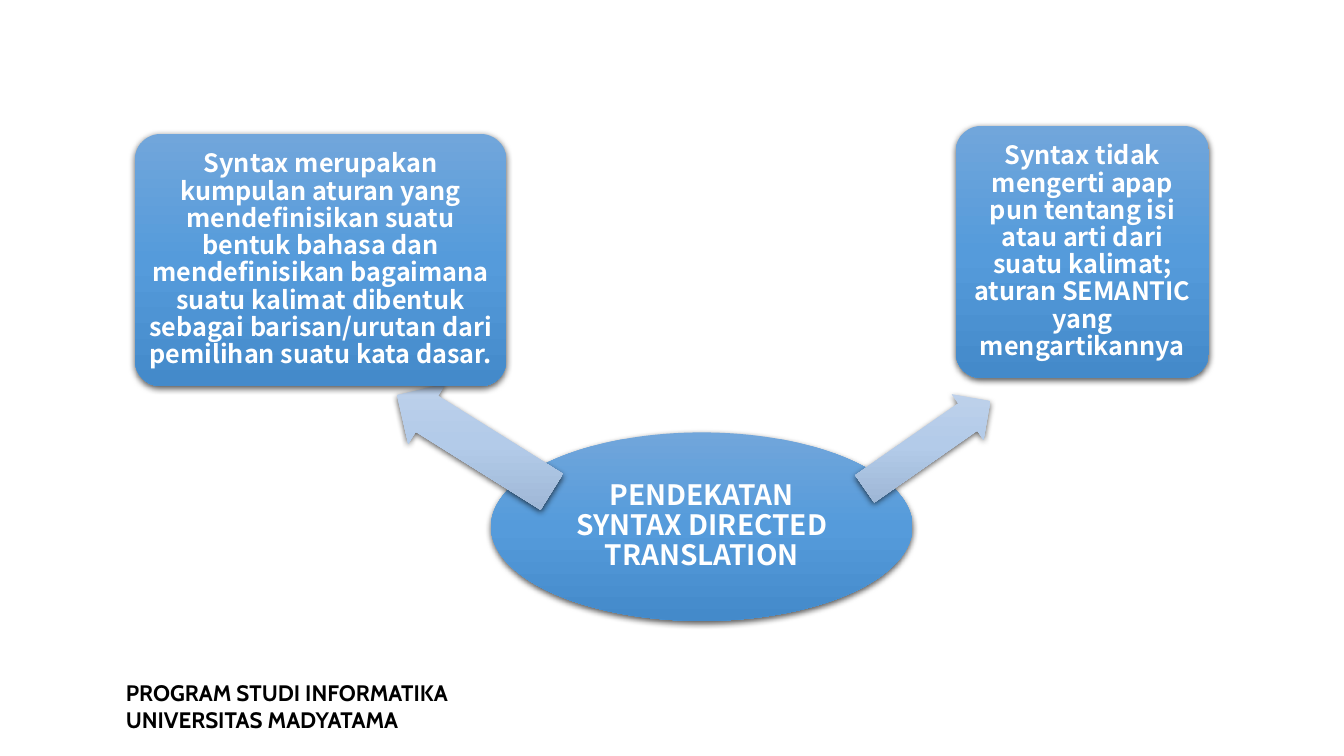
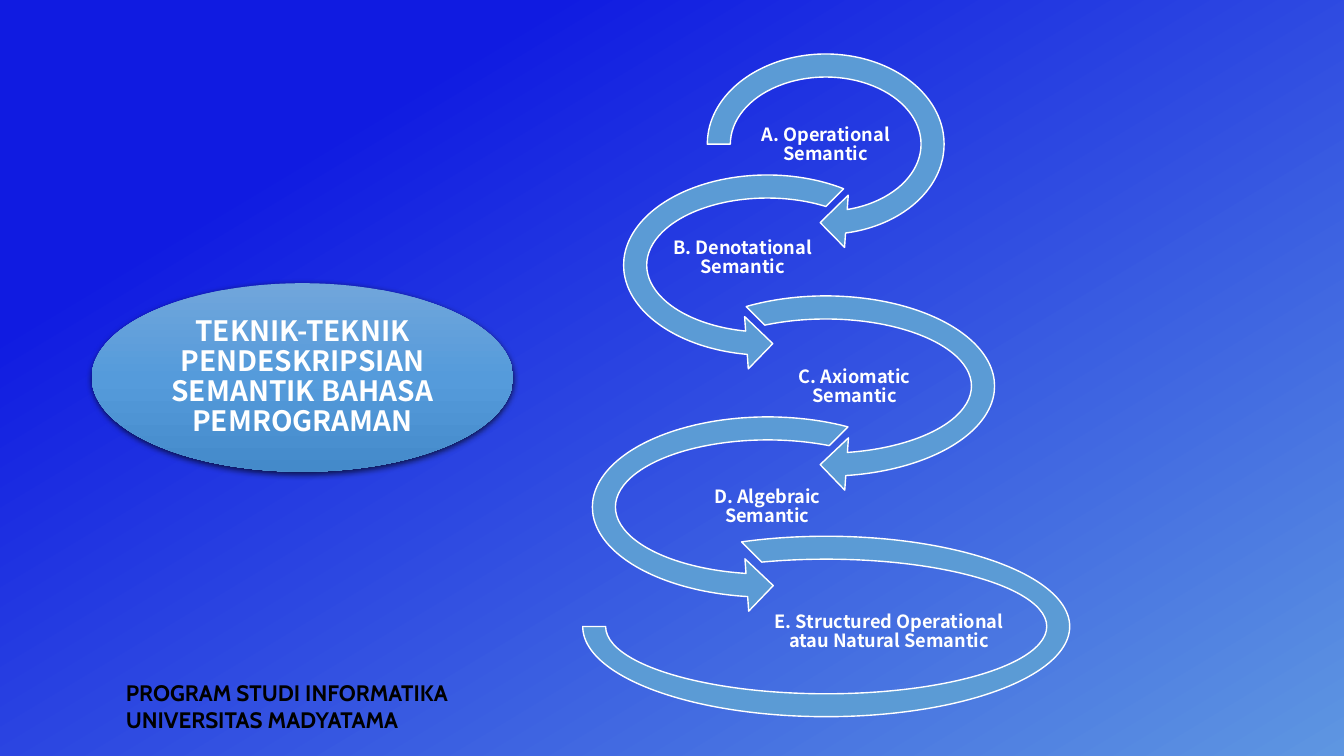
from dataclasses import dataclass

from lxml.etree import SubElement
from pptx import Presentation
from pptx.dml.color import RGBColor
from pptx.enum.shapes import MSO_SHAPE
from pptx.enum.text import MSO_ANCHOR, MSO_AUTO_SIZE, PP_ALIGN
from pptx.oxml.ns import qn
from pptx.util import Inches, Pt


@dataclass(frozen=True)
class Theme:
    body_font: str = "Noto Sans CJK SC"
    footer_font: str = "Cabin"
    white: str = "FFFFFF"
    black: str = "000000"
    spiral: str = "5B9BD5"
    node: tuple = ((0, "71A6DB"), (50, "559BDB"), (100, "448ACA"))
    arrow: tuple = ((0, "C0D2EB"), (50, "B3CBE9"), (100, "9BB4D3"))
    backdrop: tuple = ((0, "5E96E1"), (79, "101BE1"))
    topic_size: int = 20
    note_size: int = 18
    footer_size: int = 16
    label_size: int = 13


THEME = Theme()
FOOTER_LINES = ("PROGRAM STUDI INFORMATIKA", "UNIVERSITAS MADYATAMA")
FOOTER_BOX = (1.15, 6.69, 6.56, 0.64)
TOPIC_SIZE = (4.18, 1.87)


def inches(box):
    return [Inches(length) for length in box]


def paint_gradient(fill, element, stops, angle):
    """Fill with stops of (percent, colour) along a clockwise angle in degrees."""
    fill.gradient()
    fill.gradient_angle = 360 - angle
    gradient = next(element.iter(qn("a:gradFill")))
    gradient.set("rotWithShape", "0")
    stop_list = gradient.find(qn("a:gsLst"))
    for old_stop in list(stop_list):
        stop_list.remove(old_stop)
    for percent, colour in stops:
        stop = SubElement(stop_list, qn("a:gs"), pos=str(percent * 1000))
        SubElement(stop, qn("a:srgbClr"), val=colour)


def add_soft_shadow(shape):
    shape.shadow.inherit = False
    effects = shape.element.spPr.find(qn("a:effectLst"))
    shadow = SubElement(effects, qn("a:outerShdw"), blurRad=str(Pt(4.5)),
                        dist=str(Pt(1.5)), dir="5400000", algn="ctr", rotWithShape="0")
    colour = SubElement(shadow, qn("a:srgbClr"), val=THEME.black)
    SubElement(colour, qn("a:alpha"), val="63000")


def add_raised_shape(page, kind, box, stops, adjustments=(), rotation=0):
    shape = page.shapes.add_shape(kind, *inches(box))
    for index, value in enumerate(adjustments):
        shape.adjustments[index] = value
    shape.rotation = rotation
    paint_gradient(shape.fill, shape.element, stops, 90)
    shape.line.fill.background()
    add_soft_shadow(shape)
    return shape


def add_span(para, text, font, size, colour):
    span = para.add_run()
    span.text = text
    span.font.name = font
    span.font.size = Pt(size)
    span.font.bold = True
    span.font.color.rgb = RGBColor.from_string(colour)


def write_centred(shape, text, size, margin):
    frame = shape.text_frame
    frame.word_wrap = True
    frame.vertical_anchor = MSO_ANCHOR.MIDDLE
    frame.margin_left = frame.margin_right = Inches(margin)
    frame.margin_top = frame.margin_bottom = Inches(margin)
    para = frame.paragraphs[0]
    para.alignment = PP_ALIGN.CENTER
    para.line_spacing = 0.9
    para.space_after = Pt(round(size * 0.35))
    add_span(para, text, THEME.body_font, size, THEME.white)


def add_footer(page):
    footer = page.shapes.add_textbox(*inches(FOOTER_BOX))
    frame = footer.text_frame
    frame.word_wrap = True
    frame.auto_size = MSO_AUTO_SIZE.SHAPE_TO_FIT_TEXT
    for index, line in enumerate(FOOTER_LINES):
        para = frame.add_paragraph() if index else frame.paragraphs[0]
        add_span(para, line, THEME.footer_font, THEME.footer_size, THEME.black)


def add_topic(page, left, top, text):
    oval = add_raised_shape(page, MSO_SHAPE.OVAL, (left, top, *TOPIC_SIZE), THEME.node)
    write_centred(oval, text, THEME.topic_size, 0.01)


def add_note(page, box, text):
    card = add_raised_shape(page, MSO_SHAPE.ROUNDED_RECTANGLE, box, THEME.node, (0.1,))
    write_centred(card, text, THEME.note_size, 0.04)


def add_pointer(page, box, rotation):
    add_raised_shape(page, MSO_SHAPE.LEFT_ARROW, box, THEME.arrow, (0.6, 0.5), rotation)


def add_turn(page, kind, box, adjustments):
    turn = page.shapes.add_shape(kind, *inches(box))
    for index, value in enumerate(adjustments):
        turn.adjustments[index] = value
    turn.shadow.inherit = False
    turn.fill.solid()
    turn.fill.fore_color.rgb = RGBColor.from_string(THEME.spiral)
    turn.line.color.rgb = RGBColor.from_string(THEME.white)
    turn.line.width = Pt(1)


def add_spiral(page, left, top):
    """Stack arrows that turn right and left by turns, closed by an arc."""
    row_step, arrow_height, label_height = 1.2, 2.08, 0.58
    right, back = MSO_SHAPE.CIRCULAR_ARROW, MSO_SHAPE.LEFT_CIRCULAR_ARROW
    # kind, left, width, arrow end and start angles, label left, top, width, text
    rows = (
        (right, 1.14, 2.64, 45, 108, 1.72, 0.76, 1.48, "A. Operational Semantic"),
        (back, 0.31, 3.14, 63, 189, 0.69, 0.68, 1.89, "B. Denotational Semantic"),
        (right, 0.64, 3.64, 45, 135, 1.99, 0.76, 1.51, "C. Axiomatic Semantic"),
        (back, 0, 3.77, 63, 189, 1.3, 0.75, 1.16, "D. Algebraic Semantic"),
        (MSO_SHAPE.BLOCK_ARC, 0.05, 4.83, 135, 108, 1.81, 0.79, 2.55,
         "E. Structured Operational atau Natural Semantic"),
    )
    for index, row in enumerate(rows):
        kind, turn_left, width, end, start, label_left, label_top, label_width, text = row
        row_top = top + index * row_step
        if kind == MSO_SHAPE.BLOCK_ARC:
            box = (left + turn_left, row_top + 0.13, width, 1.79)
            adjustments = (end, start, 0.127)
        else:
            box = (left + turn_left, row_top, width, arrow_height)
            adjustments = (0.11, 11.423, end, start, 0.125)
        add_turn(page, kind, box, adjustments)
        label = page.shapes.add_textbox(
            *inches((left + label_left, row_top + label_top, label_width, label_height)))
        write_centred(label, text, THEME.label_size, 0.01)


def add_page(deck):
    page = deck.slides.add_slide(deck.slide_layouts[6])
    add_footer(page)
    return page


def build_approach(deck):
    page = add_page(deck)
    add_topic(page, 4.87, 4.29, "PENDEKATAN SYNTAX DIRECTED TRANSLATION")
    add_pointer(page, (3.8, 4.05, 1.81, 0.7), 32)
    add_note(page, (1.34, 1.33, 3.68, 2.5),
             "Syntax merupakan kumpulan aturan yang mendefinisikan suatu bentuk bahasa "
             "dan mendefinisikan bagaimana suatu kalimat dibentuk sebagai barisan/urutan "
             "dari pemilihan suatu kata dasar.")
    add_pointer(page, (8.44, 4.14, 1.52, 0.55), 145.1)
    add_note(page, (9.48, 1.25, 2.51, 2.5),
             "Syntax tidak mengerti apap pun tentang isi atau arti dari suatu kalimat; "
             "aturan SEMANTIC yang mengartikannya")


def build_techniques(deck):
    page = add_page(deck)
    paint_gradient(page.background.fill, page.element, THEME.backdrop, 239)
    add_topic(page, 0.91, 2.81, "TEKNIK-TEKNIK PENDESKRIPSIAN SEMANTIK BAHASA PEMROGRAMAN")
    add_spiral(page, 5.73, 0.39)


def main():
    deck = Presentation()
    deck.slide_width, deck.slide_height = Inches(13.33), Inches(7.5)
    build_approach(deck)
    build_techniques(deck)
    deck.save("out.pptx")


if __name__ == "__main__":
    main()
